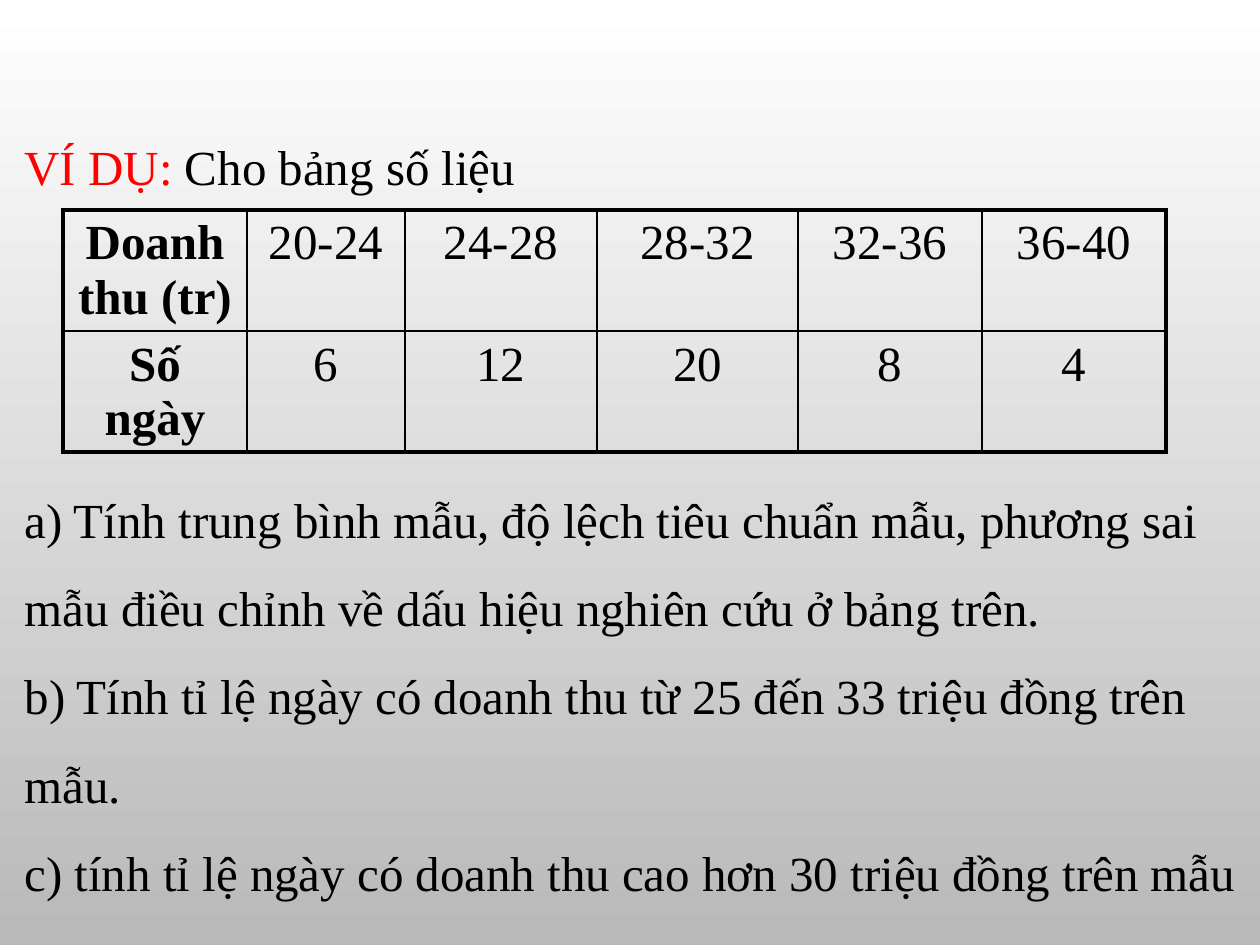
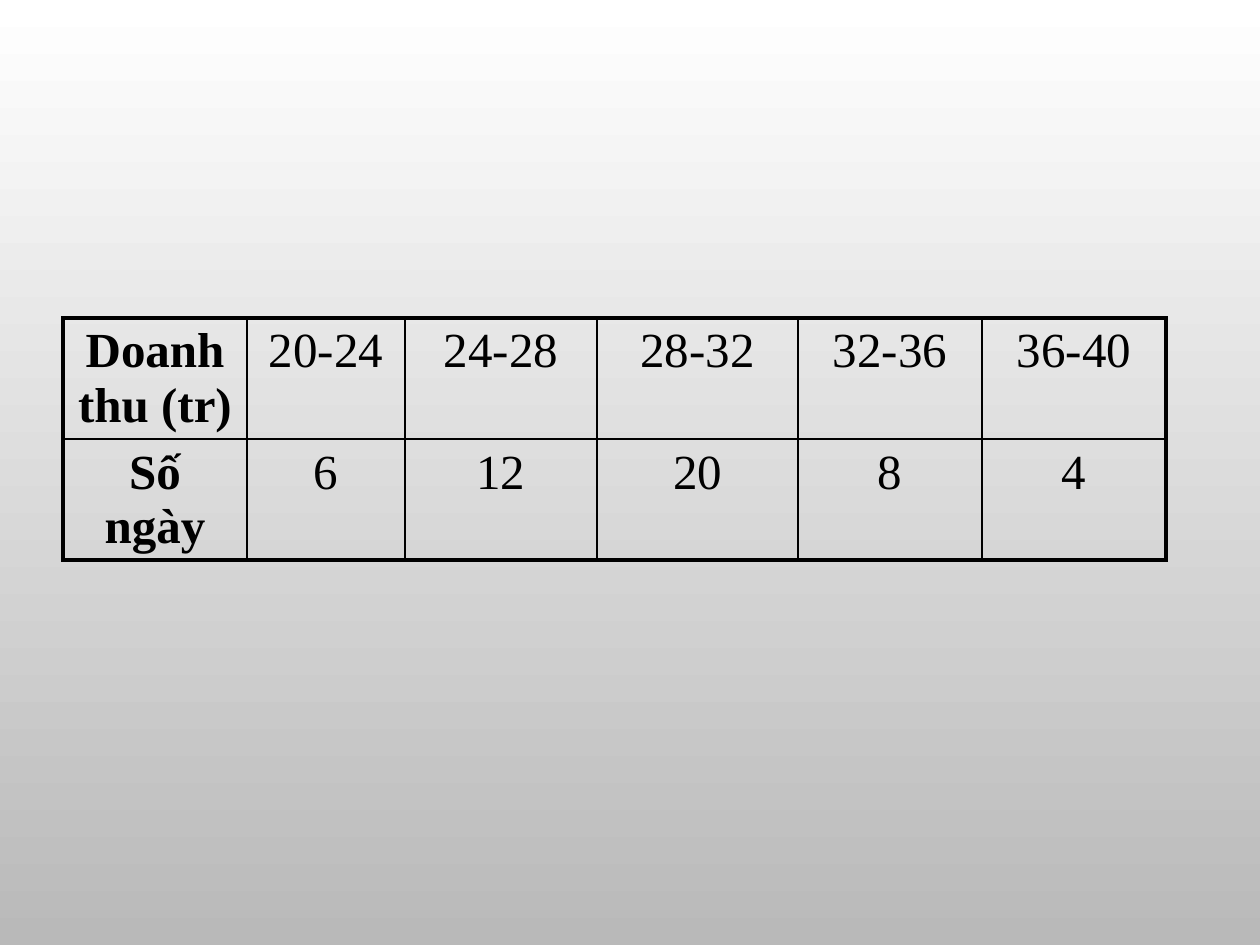
from lxml.etree import SubElement
from pptx import Presentation
from pptx.dml.color import RGBColor
from pptx.enum.text import MSO_ANCHOR, MSO_AUTO_SIZE, PP_ALIGN
from pptx.oxml.ns import qn
from pptx.util import Pt

PX = 914400 // 126
COLORS = {"ink": "000000", "mark": "FF0000", "top": "FFFFFF", "base": "B9B9B9"}
FONT = "Times New Roman"
SIZE = 28
THICK, THIN = 2.25, 1
COLS = [184, 158, 192, 201, 184, 184]
ROW = 121
SALES = [
    ["Doanh thu (tr)", "20-24", "24-28", "28-32", "32-36", "36-40"],
    ["Số ngày", "6", "12", "20", "8", "4"],
]
TASKS = [
    [("VÍ DỤ: ", "mark"), ("Cho bảng số liệu", "ink")],
    [("a) Tính trung bình mẫu, độ lệch tiêu chuẩn mẫu, phương sai "
      "mẫu điều chỉnh về dấu hiệu nghiên cứu ở bảng trên.", "ink")],
    [("b) Tính tỉ lệ ngày có doanh thu từ 25 đến 33 triệu đồng trên mẫu.", "ink")],
    [("c) tính tỉ lệ ngày có doanh thu cao hơn 30 triệu đồng trên mẫu", "ink")],
]


class Deck:
    """Holds the shared style and the current slide."""

    def __init__(self):
        self.prs = Presentation()
        self.prs.slide_width = 1260 * PX
        self.prs.slide_height = 945 * PX
        fill = self.prs.slide_master.background.fill
        fill.gradient()
        fill.gradient_angle = 270
        for stop, name, place in zip(fill.gradient_stops, ("top", "base"), (0, 1)):
            stop.color.rgb = RGBColor.from_string(COLORS[name])
            stop.position = place

    def page(self, layout):
        self.slide = self.prs.slides.add_slide(self.prs.slide_layouts[layout])

    def run(self, para, text, color="ink", bold=False):
        run = para.add_run()
        run.text = text
        font = run.font
        font.name, font.size, font.bold = FONT, Pt(SIZE), bold
        font.color.rgb = RGBColor.from_string(COLORS[color])

    def title(self, left, top, width, height, paras, gap, indent):
        shape = self.slide.shapes.title
        shape.left, shape.top = left * PX, top * PX
        shape.width, shape.height = width * PX, height * PX
        frame = shape.text_frame
        frame.word_wrap = True
        frame.auto_size = MSO_AUTO_SIZE.NONE
        frame.vertical_anchor = MSO_ANCHOR.MIDDLE
        for i, runs in enumerate(paras):
            para = frame.add_paragraph() if i else frame.paragraphs[0]
            para.alignment = PP_ALIGN.LEFT
            para.line_spacing = 1.5
            para.space_before = Pt(0)
            para.space_after = Pt(0)
            for text, color in runs:
                self.run(para, text, color)
        head = frame.paragraphs[0]
        head.space_after = gap * PX
        head._p.get_or_add_pPr().set("marL", str(indent * PX))

    def edge(self, cell, side, width):
        line = SubElement(cell._tc.get_or_add_tcPr(), qn(f"a:ln{side}"), w=str(Pt(width)))
        fill = SubElement(line, qn("a:solidFill"))
        SubElement(fill, qn("a:srgbClr"), val=COLORS["ink"])

    def table(self, left, top, rows):
        last, end = len(rows) - 1, len(COLS) - 1
        table = self.slide.shapes.add_table(
            len(rows), len(COLS), left * PX, top * PX,
            sum(COLS) * PX, len(rows) * ROW * PX).table
        table.first_row = table.horz_banding = False
        for col, width in zip(table.columns, COLS):
            col.width = width * PX
        for r, texts in enumerate(rows):
            table.rows[r].height = ROW * PX
            for c, text in enumerate(texts):
                cell = table.cell(r, c)
                outer = {"L": c == 0, "R": c == end, "T": r == 0, "B": r == last}
                for side, rim in outer.items():
                    self.edge(cell, side, THICK if rim else THIN)
                cell.fill.background()
                para = cell.text_frame.paragraphs[0]
                para.alignment = PP_ALIGN.CENTER
                self.run(para, text, bold=c == 0)


def main():
    deck = Deck()
    deck.page(5)
    deck.title(0, 126, 1260, 756, TASKS, gap=265, indent=12)
    deck.table(63, 210, SALES)
    deck.page(6)
    deck.table(63, 318, SALES)
    deck.prs.save("out.pptx")


if __name__ == "__main__":
    main()
